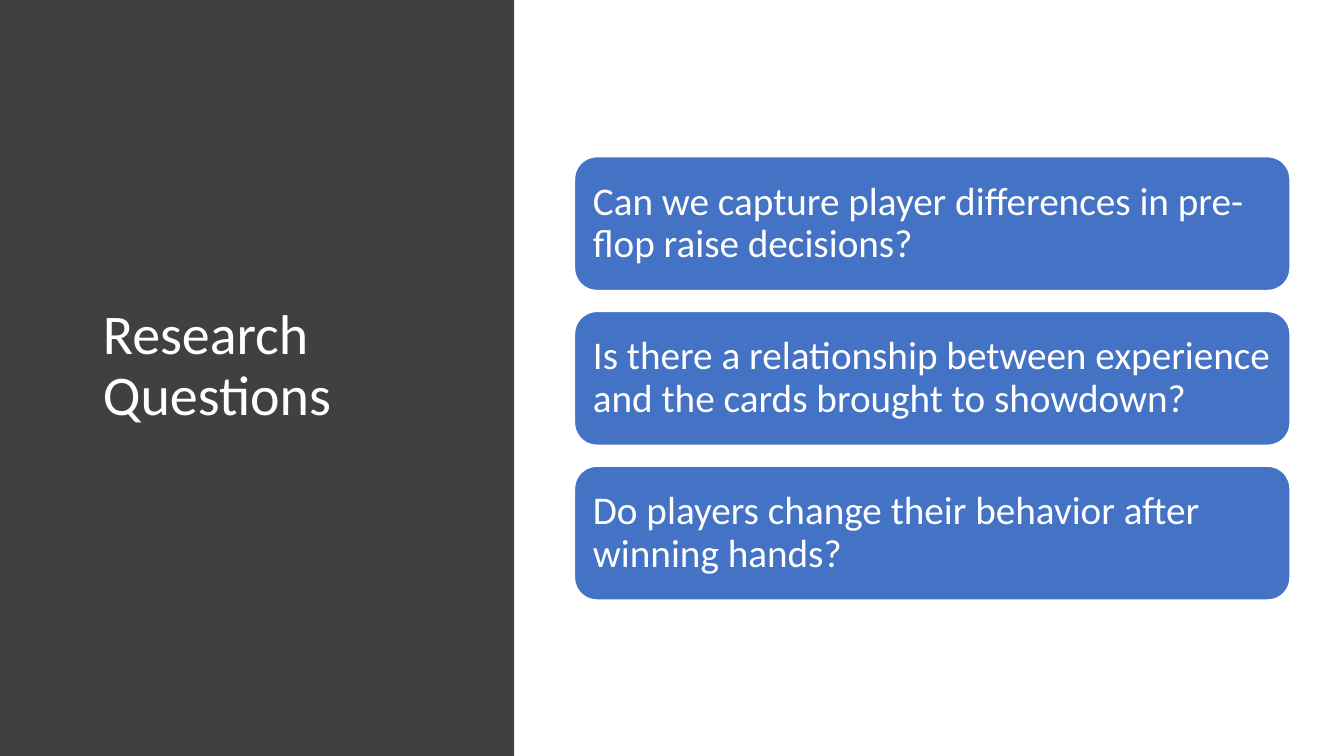
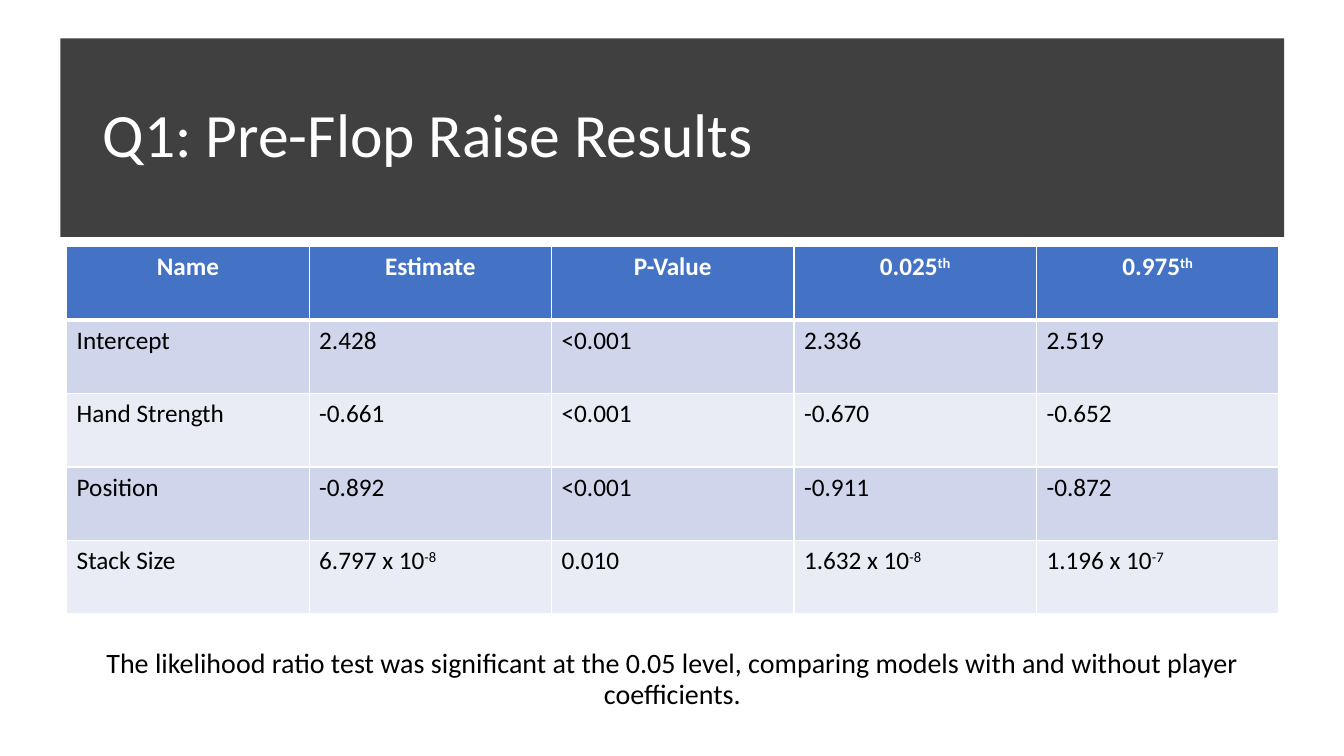
from dataclasses import dataclass

from lxml.etree import SubElement
from pptx import Presentation
from pptx.dml.color import RGBColor
from pptx.enum.shapes import MSO_SHAPE
from pptx.enum.text import MSO_ANCHOR, MSO_AUTO_SIZE, PP_ALIGN
from pptx.oxml.ns import qn
from pptx.util import Cm, Pt

FONT = "Calibri"
WHITE = RGBColor(0xFF, 0xFF, 0xFF)
BLACK = RGBColor(0x00, 0x00, 0x00)
DARK = RGBColor(0x40, 0x40, 0x40)
BLUE = RGBColor(0x44, 0x72, 0xC4)
STRIPES = (RGBColor(0xCF, 0xD5, 0xEA), RGBColor(0xE9, 0xEB, 0xF5))

QUESTIONS = (
    "Can we capture player differences in pre-flop raise decisions?",
    "Is there a relationship between experience and the cards brought to showdown?",
    "Do players change their behavior after winning hands?",
)
# A caret starts a superscript.
RESULTS = (
    ("Name", "Estimate", "P-Value", "0.025^th", "0.975^th"),
    ("Intercept", "2.428", "<0.001", "2.336", "2.519"),
    ("Hand Strength", "-0.661", "<0.001", "-0.670", "-0.652"),
    ("Position", "-0.892", "<0.001", "-0.911", "-0.872"),
    ("Stack Size", "6.797 x 10^-8", "0.010", "1.632 x 10^-8", "1.196 x 10^-7"),
)
NOTE = (
    "The likelihood ratio test was significant at the 0.05 level, "
    "comparing models with and without player coefficients."
)


@dataclass(frozen=True)
class Box:
    """A rectangle in centimetres."""

    left: float
    top: float
    width: float
    height: float

    def cm(self) -> tuple:
        return Cm(self.left), Cm(self.top), Cm(self.width), Cm(self.height)


@dataclass(frozen=True)
class Head:
    """A title on a dark band."""

    text: str
    size: int
    band: Box
    area: Box


ASK = Head("Research Questions", 40,
           Box(0, 0, 12.96, 19.05), Box(2.34, 1.73, 9.32, 15.04))
RAISE = Head("Q1: Pre-Flop Raise Results", 44,
             Box(1.52, 0.97, 30.84, 5), Box(2.34, 1.63, 29.21, 3.68))
CARD = Box(14.48, 3.95, 18.03, 3.37)
STEP = 3.9
GRID = Box(1.68, 6.22, 30.55, 9.25)
FOOT = Box(1.68, 15.47, 30.53, 3.33)


def write(frame, text: str, *, size: int, color: RGBColor, bold: bool = False,
          align=PP_ALIGN.LEFT, anchor=MSO_ANCHOR.MIDDLE,
          spacing: float = 0.9, before: int = 0):
    """Fill a text frame with one paragraph and return that paragraph."""
    frame.word_wrap = True
    frame.vertical_anchor = anchor
    para = frame.paragraphs[0]
    para.alignment = align
    para.line_spacing = spacing
    para.space_before = Pt(before)
    for part, piece in enumerate(text.split("^")):
        run = para.add_run()
        run.text = piece
        font = run.font
        font.name, font.size, font.bold = FONT, Pt(size), bold
        font.color.rgb = color
        if part:
            run._r.get_or_add_rPr().set("baseline", "30000")
    return para


def place(shape, box: Box) -> None:
    shape.left, shape.top, shape.width, shape.height = box.cm()
    shape.text_frame.auto_size = MSO_AUTO_SIZE.NONE


def draw(slide, kind, box: Box, fill: RGBColor):
    shape = slide.shapes.add_shape(kind, *box.cm())
    shape.shadow.inherit = False
    shape.fill.solid()
    shape.fill.fore_color.rgb = fill
    shape.line.fill.background()
    return shape


def start(deck, layout: int, head: Head):
    """Add a slide with its title in front of the dark band."""
    slide = deck.slides.add_slide(deck.slide_layouts[layout])
    title = slide.shapes.title
    place(title, head.area)
    write(title.text_frame, head.text, size=head.size, color=WHITE)
    band = draw(slide, MSO_SHAPE.RECTANGLE, head.band, DARK)
    title.element.addprevious(band.element)
    return slide


def edge(cell, side: str, width: float) -> None:
    line = SubElement(cell._tc.get_or_add_tcPr(), qn(f"a:ln{side}"),
                      w=str(Pt(width)))
    fill = SubElement(line, qn("a:solidFill"))
    SubElement(fill, qn("a:srgbClr"), val=str(WHITE))


def ask(deck) -> None:
    slide = start(deck, 5, ASK)
    for i, text in enumerate(QUESTIONS):
        box = Box(CARD.left, CARD.top + i * STEP, CARD.width, CARD.height)
        card = draw(slide, MSO_SHAPE.ROUNDED_RECTANGLE, box, BLUE)
        card.line.color.rgb = WHITE
        card.line.width = Pt(1)
        frame = card.text_frame
        frame.margin_left, frame.margin_right = Cm(0.3), Cm(0.25)
        write(frame, text, size=28, color=WHITE)


def tabulate(slide) -> None:
    rows, cols = len(RESULTS), len(RESULTS[0])
    table = slide.shapes.add_table(rows, cols, *GRID.cm()).table
    for r, texts in enumerate(RESULTS):
        top = r == 0
        for c, text in enumerate(texts):
            cell = table.cell(r, c)
            for side in "LRTB":
                thick = (top and side == "B") or (r == 1 and side == "T")
                edge(cell, side, 3 if thick else 1)
            cell.fill.solid()
            cell.fill.fore_color.rgb = BLUE if top else STRIPES[(r - 1) % 2]
            cell.vertical_anchor = MSO_ANCHOR.TOP
            write(cell.text_frame, text, size=18, spacing=1, bold=top,
                  color=WHITE if top else BLACK, anchor=MSO_ANCHOR.TOP,
                  align=PP_ALIGN.CENTER if top else PP_ALIGN.LEFT)


def report(deck) -> None:
    slide = start(deck, 1, RAISE)
    body = slide.placeholders[1]
    place(body, FOOT)
    para = write(body.text_frame, NOTE, size=20, color=BLACK,
                 align=PP_ALIGN.CENTER, before=10)
    props = para._p.get_or_add_pPr()
    props.set("marL", "0")
    props.set("indent", "0")
    SubElement(props, qn("a:buNone"))
    tabulate(slide)


def main() -> None:
    deck = Presentation()
    deck.slide_width, deck.slide_height = Cm(33.87), Cm(19.05)
    ask(deck)
    report(deck)
    deck.save("out.pptx")


if __name__ == "__main__":
    main()
